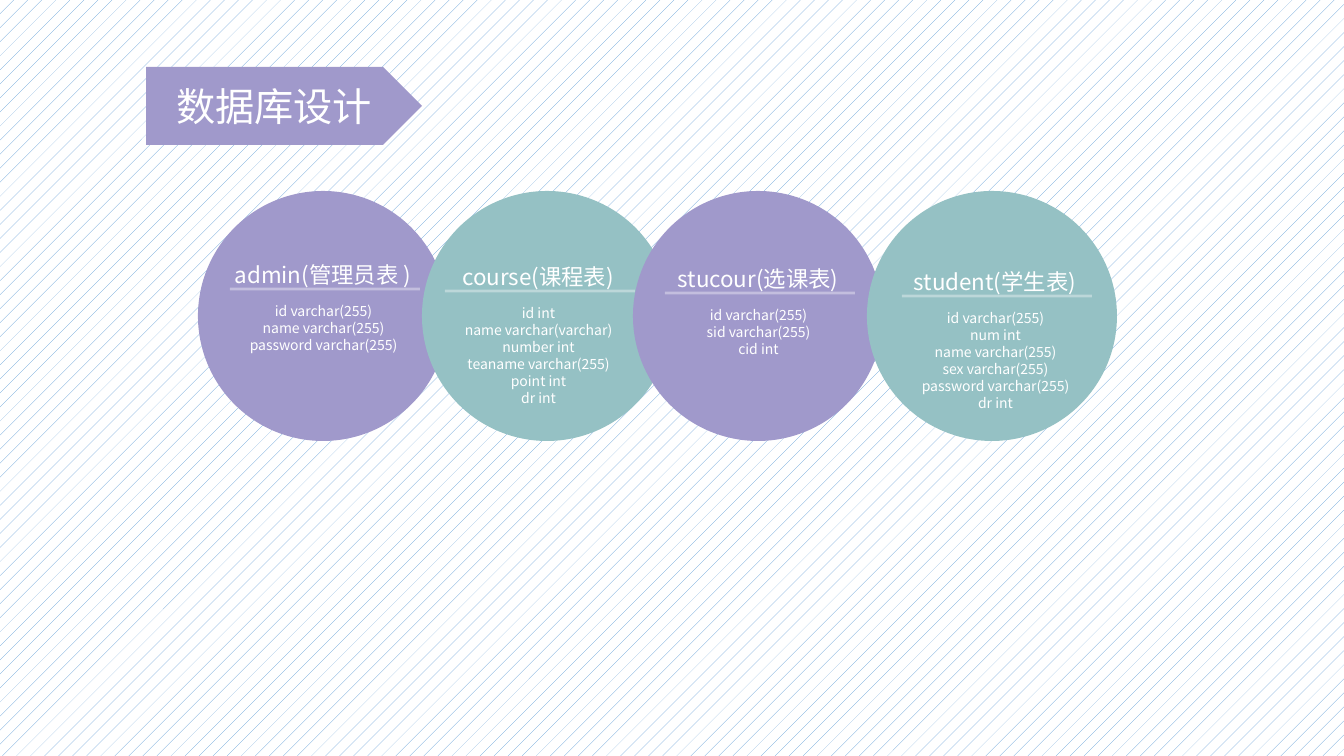
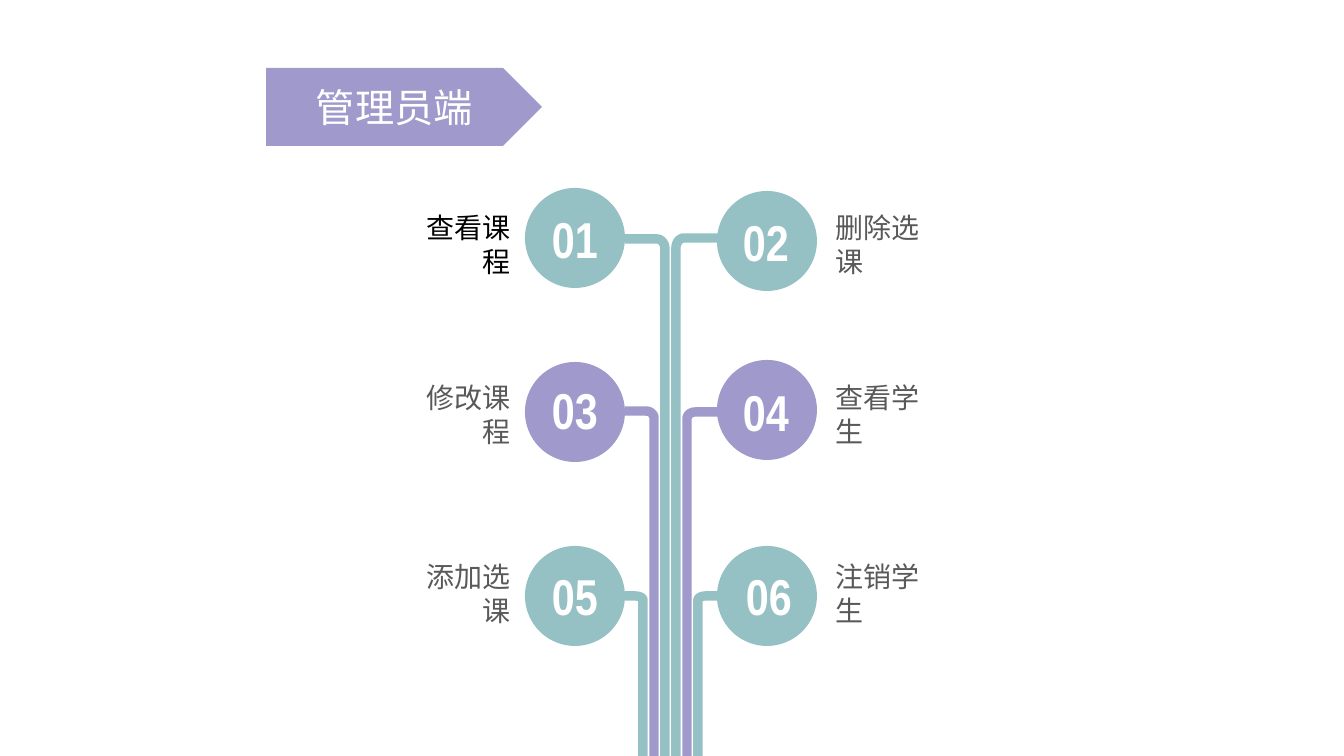
import math
import pptx
import pptx.util
import pptx.dml.color
import pptx.enum.dml
import pptx.enum.shapes
import pptx.enum.text
import pptx.oxml
import pptx.oxml.ns

COLORS = {"purple": "A099CB", "teal": "95C1C4", "white": "FFFFFF",
          "blue": "5B9BD5", "grey": "595959", "black": "000000"}
BODY_FONT, NUMBER_FONT = "Noto Sans CJK SC", "Arial Narrow"
SLIDE_W, SLIDE_H = 1344, 756
PLATE_W, PLATE_H = 276, 78

# Database slide: circle left, heading left and top, name, columns
TABLES = [
    (198, 183, 256, "purple", "admin(管理员表 )",
     ["id varchar(255)", "name varchar(255)", "password varchar(255)"]),
    (422, 398, 258, "teal", "course(课程表)",
     ["id int", "name varchar(varchar)", "number int",
      "teaname varchar(255)", "point int", "dr int"]),
    (633, 618, 260, "purple", "stucour(选课表)",
     ["id varchar(255)", "sid varchar(255)", "cid int"]),
    (867, 855, 263, "teal", "student(学生表)",
     ["id varchar(255)", "num int", "name varchar(255)",
      "sex varchar(255)", "password varchar(255)", "dr int"]),
]
TABLE_TOP, TABLE_SIZE = 191, 250

# Administrator slide: each row has a colour, label top, bend height, and
# per side: circle top, branch y, number left and top, number, label, colour
FUNCTIONS = [
    ("teal", 206, 10, [(188, 239, 542, 203, "01", "查看课程", "black"),
                       (191, 238, 733, 206, "02", "删除选课", "grey")]),
    ("purple", 376, 7, [(362, 411, 542, 374, "03", "修改课程", "grey"),
                        (360, 412, 733, 376, "04", "查看学生", "grey")]),
    ("teal", 555, 4, [(546, 596, 542, 560, "05", "添加选课", "grey"),
                      (546, 596, 736, 560, "06", "注销学生", "grey")]),
]
# Per side: circle left, branch start, first trunk, direction, label left
SIDES = [(525, 625, 665, 1, 389), (717, 718, 676, -1, 826)]
TRUNK_STEP, BEND_W, NODE_SIZE = 11, 8, 100

SHAPES = pptx.enum.shapes.MSO_SHAPE
ALIGN = pptx.enum.text.PP_ALIGN
AUTO = pptx.enum.text.MSO_AUTO_SIZE
ANCHOR = pptx.enum.text.MSO_ANCHOR


def px(length):
    return pptx.util.Emu(round(length * 914400 / 100.8))


def rgb(name):
    return pptx.dml.color.RGBColor.from_string(COLORS[name])


def add_xml(parent, tag, **attributes):
    child = pptx.oxml.parse_xml(
        f'<a:{tag} {pptx.oxml.ns.nsdecls("a")}/>')
    for key, value in attributes.items():
        child.set(key, value)
    parent.append(child)


def write(frame, lines, size, color, align, font=BODY_FONT, bold=False):
    for index, line in enumerate(lines):
        paragraph = frame.add_paragraph() if index else frame.paragraphs[0]
        paragraph.alignment = align
        run = paragraph.add_run()
        run.text = line
        run.font.size = pptx.util.Pt(size)
        run.font.bold = bold
        run.font.color.rgb = rgb(color)
        run.font.name = font
        add_xml(run.font._element, "ea", typeface=font)


def add_text(slide, box, lines, size, color, align, wrap=True, **style):
    frame = slide.shapes.add_textbox(*map(px, box)).text_frame
    frame.word_wrap = wrap
    frame.auto_size = AUTO.SHAPE_TO_FIT_TEXT
    write(frame, lines, size, color, align, **style)


def add_filled(slide, kind, box, color):
    shape = slide.shapes.add_shape(kind, *map(px, box))
    shape.shadow.inherit = False
    shape.fill.solid()
    shape.fill.fore_color.rgb = rgb(color)
    shape.line.fill.background()


def add_title(slide, left, top, text):
    add_filled(slide, SHAPES.PENTAGON, (left, top, PLATE_W, PLATE_H), "purple")
    title = slide.shapes.title
    # The text area ends halfway along the point of the plate
    title.left, title.top = px(left), px(top)
    title.width, title.height = px(PLATE_W - PLATE_H / 4), px(PLATE_H)
    frame = title.text_frame
    frame.auto_size = AUTO.NONE
    frame.vertical_anchor = ANCHOR.MIDDLE
    write(frame, [text], 28, "white", ALIGN.CENTER)
    slide.shapes._spTree.append(title._element)  # in front of the plate


def add_rule(slide, left, top, width):
    rule = slide.shapes.add_connector(
        pptx.enum.shapes.MSO_CONNECTOR.STRAIGHT,
        px(left), px(top), px(left + width), px(top))
    rule.line.width = 0
    rule.line.color.rgb = rgb("white")
    add_xml(rule.line.fill._xPr.find(".//" + pptx.oxml.ns.qn("a:srgbClr")),
            "alpha", val="37000")
    add_xml(rule._element.spPr, "effectLst")


def add_branch(slide, start, trunk, y, direction, bend_h, color):
    """Run level from the circle, round the bend, then down the trunk."""
    bend = [(trunk - direction * BEND_W * (1 - math.sin(angle)),
             y + bend_h * (1 - math.cos(angle)))
            for angle in (math.pi / 16 * step for step in range(9))]
    builder = slide.shapes.build_freeform(px(start), px(y))
    builder.add_line_segments(
        [(px(x), px(down)) for x, down in bend + [(trunk, SLIDE_H)]],
        close=False)
    branch = builder.convert_to_shape()
    branch.shadow.inherit = False
    branch.fill.background()
    branch.line.width = pptx.util.Pt(6.75)
    branch.line.color.rgb = rgb(color)


def build_database(slide):
    background = slide.background.fill
    background.patterned()
    background.pattern = pptx.enum.dml.MSO_PATTERN.PERCENT_5
    background.fore_color.rgb = rgb("blue")
    background.back_color.rgb = rgb("white")
    for left, _, _, color, _, _ in TABLES:
        add_filled(slide, SHAPES.OVAL,
                   (left, TABLE_TOP, TABLE_SIZE, TABLE_SIZE), color)
    for _, left, top, _, name, columns in TABLES:
        add_text(slide, (left, top, 280, 37), [name], 16, "white",
                 ALIGN.CENTER)
        add_text(slide, (left + 44, top + 42, 193, 10 + 17 * len(columns)),
                 columns, 10, "white", ALIGN.CENTER)
        add_rule(slide, left + 47, top + 33, 190)
    add_title(slide, 146, 67, "数据库设计")


def build_administrator(slide):
    slide.background.fill.solid()
    slide.background.fill.fore_color.rgb = rgb("white")
    for row, (color, label_top, bend_h, nodes) in enumerate(FUNCTIONS):
        for side, node in zip(SIDES, nodes):
            circle_left, start, trunk, direction, label_left = side
            top, branch_y, number_left, number_top, number, label, ink = node
            add_branch(slide, start, trunk - direction * TRUNK_STEP * row,
                       branch_y, direction, bend_h, color)
            add_filled(slide, SHAPES.OVAL,
                       (circle_left, top, NODE_SIZE, NODE_SIZE), color)
            add_text(slide, (label_left, label_top, 132, 44), [label], 20,
                     ink, ALIGN.RIGHT if direction > 0 else ALIGN.LEFT,
                     wrap=False)
            add_text(slide, (number_left, number_top, 73, 71), [number], 36,
                     "white", ALIGN.LEFT, wrap=False, font=NUMBER_FONT,
                     bold=True)
    add_title(slide, 266, 68, "管理员端")


def main():
    deck = pptx.Presentation()
    deck.slide_width, deck.slide_height = px(SLIDE_W), px(SLIDE_H)
    title_only = deck.slide_layouts[5]
    for build in (build_database, build_administrator):
        build(deck.slides.add_slide(title_only))
    deck.save("out.pptx")


if __name__ == "__main__":
    main()
